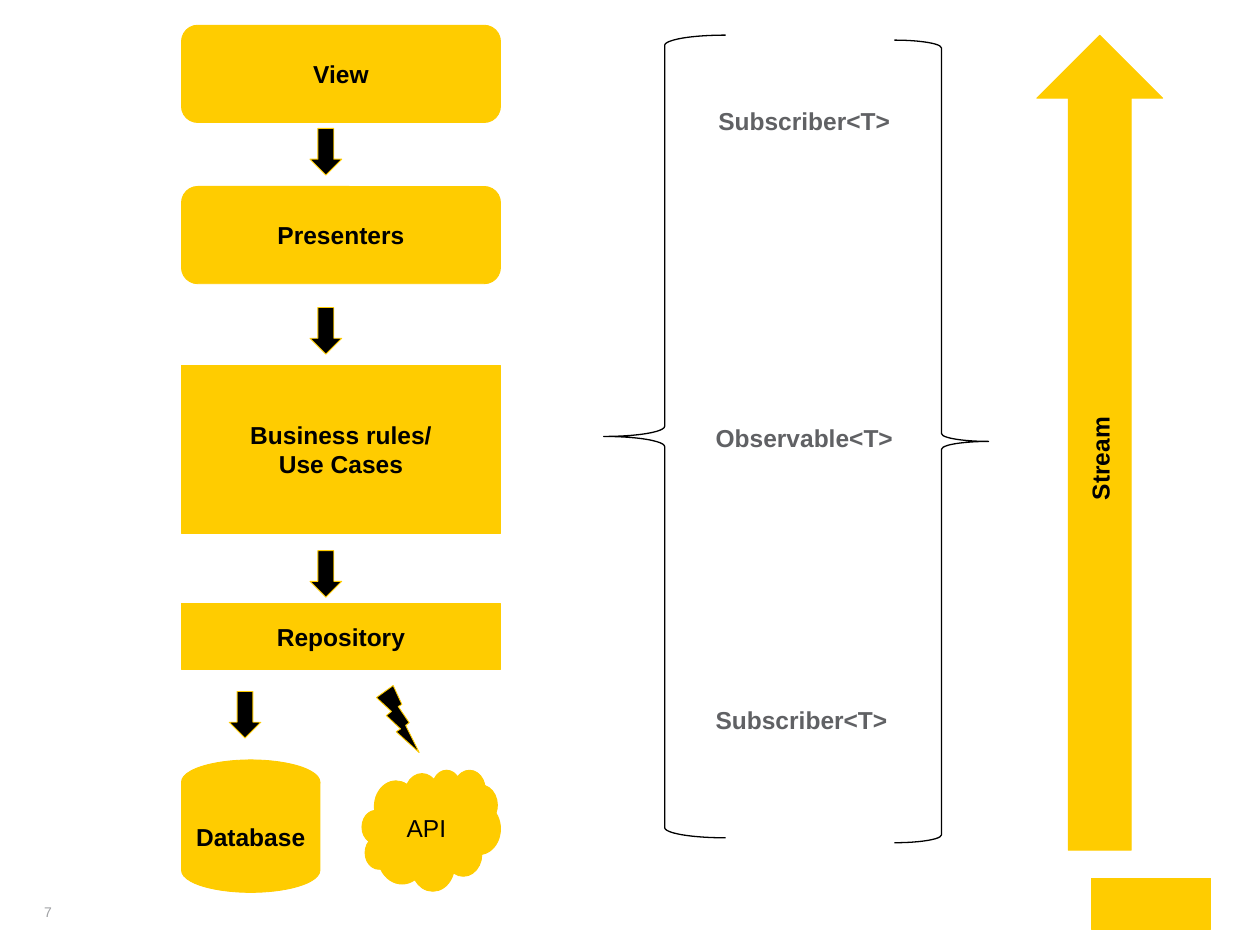
import pptx
import pptx.util
import pptx.dml.color
import pptx.enum.shapes
import pptx.enum.text

Cm = pptx.util.Cm
Pt = pptx.util.Pt
RGBColor = pptx.dml.color.RGBColor
SHAPE = pptx.enum.shapes.MSO_SHAPE
ALIGN = pptx.enum.text.PP_ALIGN
ANCHOR = pptx.enum.text.MSO_ANCHOR

YELLOW = RGBColor(0xFF, 0xCC, 0x00)
BLACK = RGBColor(0x00, 0x00, 0x00)
GREY = RGBColor(0x60, 0x61, 0x64)
LIGHT_GREY = RGBColor(0x9F, 0xA0, 0xA3)


def write(frame, lines, size=14, color=BLACK, bold=True, align=ALIGN.CENTER, spacing=None):
    for index, line in enumerate(lines):
        paragraph = frame.add_paragraph() if index else frame.paragraphs[0]
        paragraph.alignment = align
        paragraph.line_spacing = spacing
        run = paragraph.add_run()
        run.text = line
        run.font.name = "Arial"
        run.font.size = Pt(size)
        run.font.bold = bold
        run.font.color.rgb = color


def add_figure(slide, kind, left, top, width, height, fill=YELLOW, outline=YELLOW,
               weight=0.5, lines=(), bold=True):
    figure = slide.shapes.add_shape(kind, Cm(left), Cm(top), Cm(width), Cm(height))
    figure.shadow.inherit = False
    if fill is None:
        figure.fill.background()
    else:
        figure.fill.solid()
        figure.fill.fore_color.rgb = fill
    figure.line.color.rgb = outline
    figure.line.width = Pt(weight)
    figure.text_frame.word_wrap = True
    figure.text_frame.vertical_anchor = ANCHOR.MIDDLE
    write(figure.text_frame, lines, bold=bold)
    return figure


def add_label(slide, left, top, width, height, text, **style):
    label = slide.shapes.add_textbox(Cm(left), Cm(top), Cm(width), Cm(height))
    frame = label.text_frame
    frame.word_wrap = True
    frame.margin_left = frame.margin_right = frame.margin_top = frame.margin_bottom = 0
    write(frame, [text], **style)


def add_layers(slide, left, top, width):
    layers = [
        (SHAPE.ROUNDED_RECTANGLE, 0, 1.96, ["View"]),
        (SHAPE.ROUNDED_RECTANGLE, 3.25, 1.96, ["Presenters"]),
        (SHAPE.RECTANGLE, 6.86, 3.38, ["Business rules/", "Use Cases"]),
        (SHAPE.RECTANGLE, 11.66, 1.32, ["Repository"]),
    ]
    for kind, offset, height, lines in layers:
        add_figure(slide, kind, left, top + offset, width, height, lines=lines)

    source_width = 2.79
    add_figure(slide, SHAPE.FLOWCHART_MAGNETIC_DISK, left, top + 14.81,
               source_width, 2.67, lines=["Database"])
    add_figure(slide, SHAPE.CLOUD, left + width - source_width, top + 15.01,
               source_width, 2.44, lines=["API"], bold=False)

    for across, down in [(2.59, 2.08), (2.59, 5.69), (2.59, 10.59), (0.96, 13.43)]:
        add_figure(slide, SHAPE.DOWN_ARROW, left + across, top + down, 0.64, 0.94, fill=BLACK)
    add_figure(slide, SHAPE.LIGHTNING_BOLT, left + 3.93, top + 13.31, 0.86, 1.35, fill=BLACK)


def add_roles(slide, left, top, height):
    for kind, across, down, width in [(SHAPE.LEFT_BRACE, 0, 0, 2.46),
                                      (SHAPE.RIGHT_BRACE, 5.86, 0.1, 1.9)]:
        add_figure(slide, kind, left + across, top + down, width, height,
                   fill=None, outline=BLACK, weight=0.75)
    for across, down, width, role in [(1.34, 1.5, 5.41, "Subscriber<T>"),
                                      (1.34, 7.88, 5.41, "Observable<T>"),
                                      (1.5, 13.56, 4.98, "Subscriber<T>")]:
        add_label(slide, left + across, top + down, width, 0.53, role,
                  color=GREY, spacing=0.9)


def add_stream(slide, left, top, width, height):
    stream = add_figure(slide, SHAPE.UP_ARROW, left, top, width, height, lines=["Stream"])
    stream.text_frame._txBody.bodyPr.set("vert", "vert270")


def add_footer(slide, left, top):
    add_label(slide, left, top, 1.27, 0.33, "7", size=8, color=LIGHT_GREY,
              bold=False, align=ALIGN.LEFT)
    add_figure(slide, SHAPE.RECTANGLE, left + 21.11, top - 0.5, 2.41, 1.02)


def main():
    deck = pptx.Presentation()
    deck.slide_width = Cm(25.4)
    deck.slide_height = Cm(19.05)
    slide = deck.slides.add_slide(deck.slide_layouts[6])
    add_footer(slide, 0.89, 18.21)
    add_layers(slide, 3.66, 0.51, 6.43)
    add_stream(slide, 20.9, 0.71, 2.54, 16.43)
    add_roles(slide, 12.17, 0.71, 16.18)
    deck.save("out.pptx")


if __name__ == "__main__":
    main()
